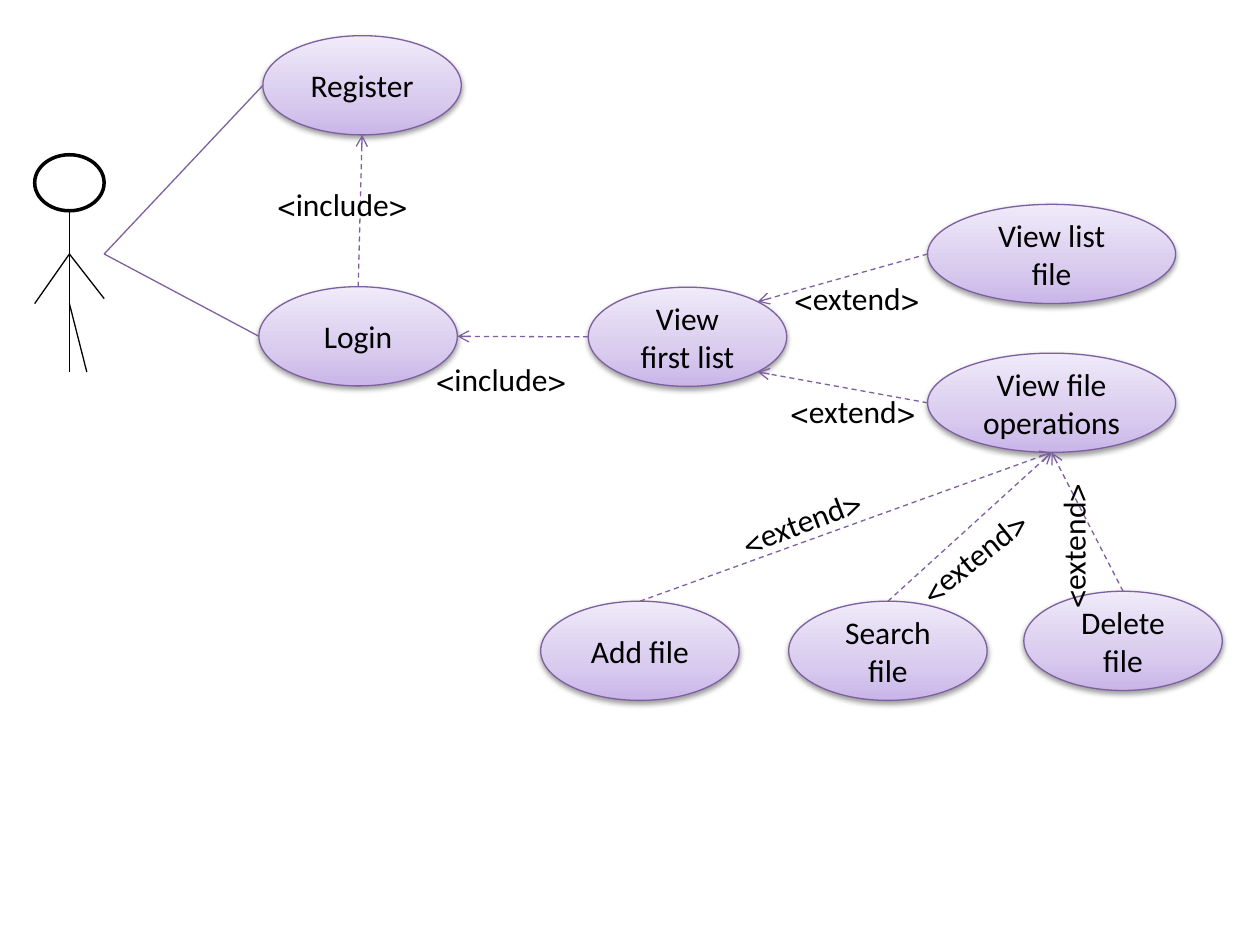
"""Build a use case diagram of file handling for one actor."""
import copy
import dataclasses

import lxml.etree
import pptx
import pptx.dml.color
import pptx.enum.dml
import pptx.enum.shapes
import pptx.enum.text
import pptx.oxml.ns
import pptx.util

Cm = pptx.util.Cm
qn = pptx.oxml.ns.qn
ALIGN = pptx.enum.text.PP_ALIGN
ANCHOR = pptx.enum.text.MSO_ANCHOR
OVAL = pptx.enum.shapes.MSO_SHAPE.OVAL
Point = tuple[float, float]

PURPLE, BLACK, WHITE = "7D60A0", "000000", "FFFFFF"
GRADIENT = [(0, "C9B5E8"), (0.35, "D8CBEE"), (1, "F0EAF9")]
DIAGONAL = 0.5 ** 0.5
TOP, BOTTOM, LEFT, RIGHT = (0, -1), (0, 1), (-1, 0), (1, 0)
UPPER_RIGHT, LOWER_RIGHT = (DIAGONAL, -DIAGONAL), (DIAGONAL, DIAGONAL)


@dataclasses.dataclass(frozen=True)
class UseCase:
    """An ellipse with its place in centimetres."""
    text: str
    left: float
    top: float
    width: float = 4
    height: float = 2

    def anchor(self, side: Point) -> Point:
        """Return the point of the outline on the given side."""
        return (self.left + self.width / 2 * (1 + side[0]),
                self.top + self.height / 2 * (1 + side[1]))


@dataclasses.dataclass(frozen=True)
class Label:
    """A relation name with its place in centimetres."""
    text: str
    left: float
    top: float
    rotation: float = 0


REGISTER = UseCase("Register", 5.3, 0.72)
FIRST_LIST = UseCase("View first list", 11.86, 5.79)
LOGIN = UseCase("Login", 5.22, 5.78)
LIST_FILE = UseCase("View list file", 18.7, 4.12, width=5)
OPERATIONS = UseCase("View file operations", 18.7, 7.12, width=5)
ADD = UseCase("Add file", 10.9, 12.12)
SEARCH = UseCase("Search file", 15.9, 12.12)
DELETE = UseCase("Delete\nfile", 20.64, 11.92)
USE_CASES = [REGISTER, FIRST_LIST, LOGIN, LIST_FILE, OPERATIONS, ADD, SEARCH, DELETE]

RELATIONS = [
    (LIST_FILE, LEFT, FIRST_LIST, UPPER_RIGHT),
    (OPERATIONS, LEFT, FIRST_LIST, LOWER_RIGHT),
    (FIRST_LIST, LEFT, LOGIN, RIGHT),
    (LOGIN, TOP, REGISTER, BOTTOM),
    *[(case, TOP, OPERATIONS, BOTTOM) for case in (DELETE, SEARCH, ADD)],
]

SHOULDER, HIP, HAND = (1.4, 5.12), (1.4, 6.12), (2.1, 5.12)
LIMBS = [
    ((1.4, 4.25), (1.4, 7.5)),
    (SHOULDER, (2.1, 6.02)),
    (SHOULDER, (0.7, 6.12)),
    (HIP, (1.75, 7.5)),
]

LABELS = [
    Label("<include>", 4.9, 3.6),
    Label("<extend>", 15.14, 7.78),
    Label("<include>", 8.1, 7.14),
    Label("<extend>", 15.22, 5.5),
    Label("<extend>", 14.12, 10.1, 339),
    Label("<extend>", 17.63, 10.88, 321.3),
    Label("<extend>", 19.86, 10.77, 270),
]


def colour(value: str) -> pptx.dml.color.RGBColor:
    """Turn a hex string into a colour."""
    return pptx.dml.color.RGBColor.from_string(value)


def write_text(shape, text: str, *, size: float = 18, font: str = "Calibri",
               ink: str = BLACK, align=ALIGN.CENTER, anchor=ANCHOR.MIDDLE) -> None:
    """Put formatted right-to-left text into a shape, one paragraph a line."""
    frame = shape.text_frame
    frame.text = text
    frame.word_wrap = True
    frame.vertical_anchor = anchor
    for paragraph in frame.paragraphs:
        paragraph.alignment = align
        paragraph._p.get_or_add_pPr().set("rtl", "1")
        paragraph.font.size = pptx.util.Pt(size)
        paragraph.font.name = font
        paragraph.font.color.rgb = colour(ink)


def set_line(line, ink: str, width: float) -> None:
    """Set the colour and width of a line."""
    line.color.rgb = colour(ink)
    line.width = pptx.util.Pt(width)


def add_oval(slide, left: float, top: float, width: float, height: float,
             ink: str, line_width: float):
    """Add an outlined ellipse without a shadow."""
    shape = slide.shapes.add_shape(OVAL, Cm(left), Cm(top), Cm(width), Cm(height))
    set_line(shape.line, ink, line_width)
    shape.shadow.inherit = False
    return shape


def fill_gradient(shape) -> None:
    """Fill a shape with the gradient, rising from bottom to top."""
    shape.fill.gradient()
    shape.fill.gradient_angle = 90
    stop_list = shape._element.spPr.find(".//" + qn("a:gsLst"))
    stop_list.insert(1, copy.deepcopy(stop_list[0]))
    for stop, (position, value) in zip(shape.fill.gradient_stops, GRADIENT):
        stop.position = position
        stop.color.rgb = colour(value)


def add_shadow(shape) -> None:
    """Give a shape a soft shadow below it."""
    effects = shape._element.spPr.find(qn("a:effectLst"))
    shadow = lxml.etree.SubElement(effects, qn("a:outerShdw"), blurRad="40000",
                                   dist="20000", dir="5400000", rotWithShape="0")
    ink = lxml.etree.SubElement(shadow, qn("a:srgbClr"), val=BLACK)
    lxml.etree.SubElement(ink, qn("a:alpha"), val="38000")


def add_use_case(slide, case: UseCase) -> None:
    """Draw one use case."""
    shape = add_oval(slide, case.left, case.top, case.width, case.height, PURPLE, 0.75)
    fill_gradient(shape)
    add_shadow(shape)
    write_text(shape, case.text)


def add_line(slide, start: Point, end: Point, ink: str = PURPLE,
             arrow: bool = False) -> None:
    """Draw a straight line, or a dashed arrow."""
    connector = slide.shapes.add_connector(
        pptx.enum.shapes.MSO_CONNECTOR.STRAIGHT, *map(Cm, start + end))
    set_line(connector.line, ink, 0.75)
    properties = connector._element.spPr
    if arrow:
        connector.line.dash_style = pptx.enum.dml.MSO_LINE.DASH
        lxml.etree.SubElement(properties.find(qn("a:ln")), qn("a:tailEnd"), type="arrow")
    lxml.etree.SubElement(properties, qn("a:effectLst"))


def add_label(slide, label: Label) -> None:
    """Write the name of a relation."""
    box = slide.shapes.add_textbox(Cm(label.left), Cm(label.top), Cm(3.56), Cm(1.03))
    box.rotation = label.rotation
    write_text(box, label.text, align=ALIGN.RIGHT, anchor=ANCHOR.TOP)
    box.text_frame.auto_size = pptx.enum.text.MSO_AUTO_SIZE.SHAPE_TO_FIT_TEXT


def add_actor(slide) -> None:
    """Draw the stick figure."""
    head = add_oval(slide, 0.7, 3.12, 1.4, 1.13, BLACK, 2)
    head.fill.solid()
    head.fill.fore_color.rgb = colour(WHITE)
    for start, end in LIMBS:
        add_line(slide, start, end, BLACK)


def main() -> None:
    """Build and save the presentation."""
    presentation = pptx.Presentation()
    presentation.slide_width, presentation.slide_height = Cm(25.4), Cm(19.05)
    slide = presentation.slides.add_slide(presentation.slide_layouts[6])
    for case in USE_CASES:
        add_use_case(slide, case)
    for source, source_side, target, target_side in RELATIONS:
        add_line(slide, source.anchor(source_side), target.anchor(target_side), arrow=True)
    add_actor(slide)
    for case in (REGISTER, LOGIN):
        add_line(slide, HAND, case.anchor(LEFT))
    for label in LABELS:
        add_label(slide, label)
    presentation.save("out.pptx")


main()
